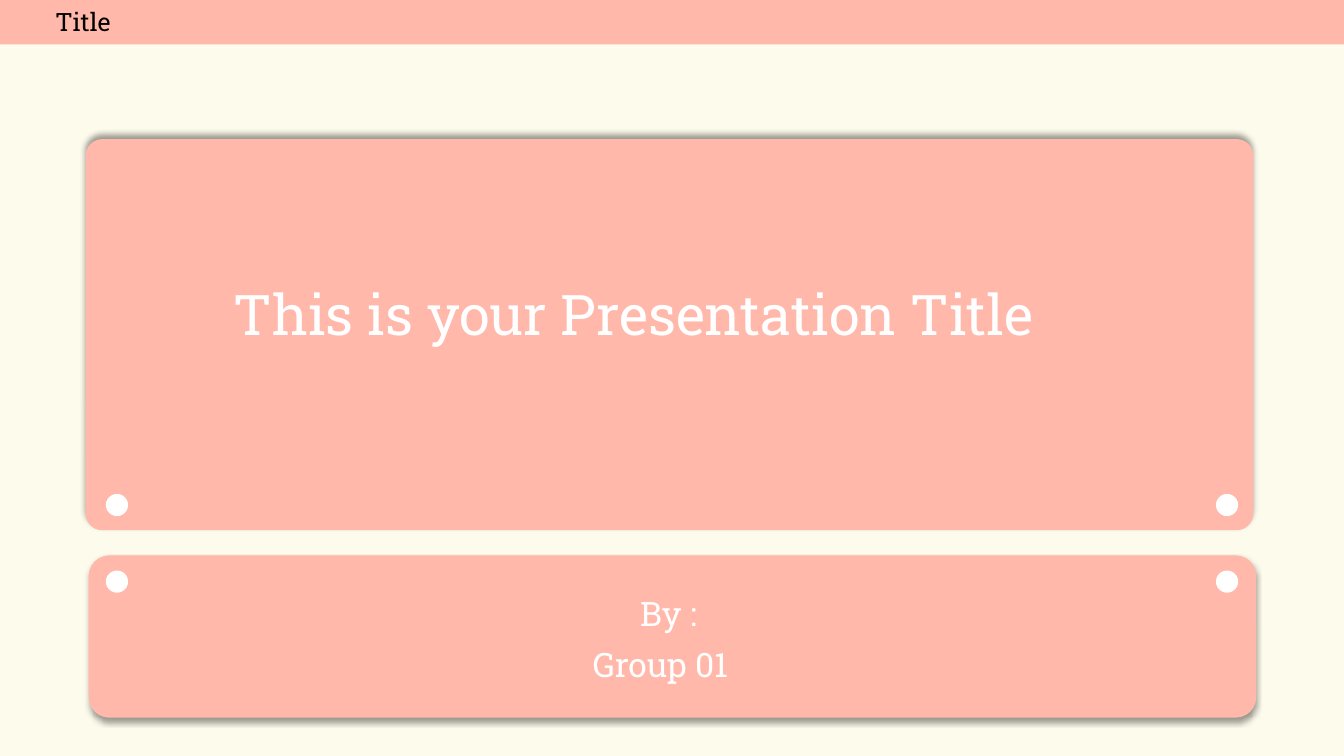
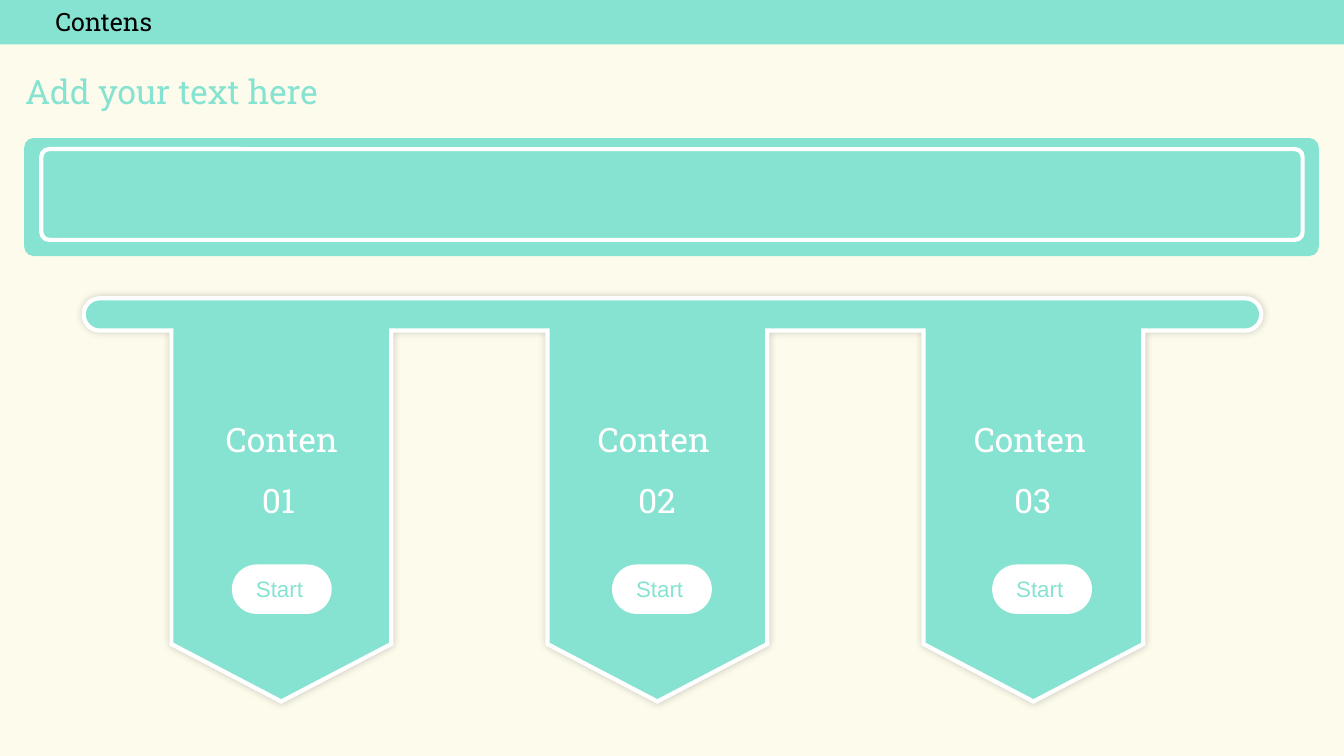
from math import cos, pi, sin

from lxml import etree
from pptx import Presentation
from pptx.dml.color import RGBColor
from pptx.enum.shapes import MSO_SHAPE
from pptx.enum.text import MSO_AUTO_SIZE
from pptx.oxml.ns import qn
from pptx.util import Inches, Pt

RECT = MSO_SHAPE.RECTANGLE
ROUNDED = MSO_SHAPE.ROUNDED_RECTANGLE
OVAL = MSO_SHAPE.OVAL
GROW = MSO_AUTO_SIZE.SHAPE_TO_FIT_TEXT

CREAM = "FDFBEC"
PEACH = "FFB8AA"
MINT = "87E3D1"
WHITE = "FFFFFF"
BLACK = "000000"
SERIF = "Roboto Slab"
SANS = "Arial"


def paint(shape, fill=None, line=None, shadow=None, corner=None):
    shape.shadow.inherit = False
    if fill:
        shape.fill.solid()
        shape.fill.fore_color.rgb = RGBColor.from_string(fill)
    else:
        shape.fill.background()
    if line:
        shape.line.color.rgb = RGBColor.from_string(line)
        shape.line.width = Pt(3)
        etree.SubElement(shape.line._get_or_add_ln(), qn("a:miter"), lim="800000")
    else:
        shape.line.fill.background()
    if corner is not None:
        shape.adjustments[0] = corner
    if shadow:
        opacity, blur, distance, angle = shadow
        effects = shape._element.spPr.find(qn("a:effectLst"))
        outer = etree.SubElement(
            effects, qn("a:outerShdw"), blurRad=str(Pt(blur)), dist=str(Pt(distance)),
            dir=str(angle * 60000), algn="ctr", rotWithShape="0")
        tint = etree.SubElement(outer, qn("a:srgbClr"), val=BLACK)
        etree.SubElement(tint, qn("a:alpha"), val=str(opacity * 1000))


def add_label(slide, text, left, top, width, height, size, color, font=SERIF):
    label = slide.shapes.add_textbox(Inches(left), Inches(top), Inches(width), Inches(height))
    frame = label.text_frame
    frame.word_wrap = False
    frame.auto_size = GROW
    run = frame.paragraphs[0].add_run()
    run.text = text
    run.font.size = Pt(size)
    run.font.name = font
    run.font.color.rgb = RGBColor.from_string(color)


deck = Presentation()
deck.slide_width = Inches(13.33)
deck.slide_height = Inches(7.5)

slides = []
for heading, theme, heading_width in (("Title", PEACH, 0.81), ("Contens", MINT, 1.25)):
    slide = deck.slides.add_slide(deck.slide_layouts[6])
    slide.background.fill.solid()
    slide.background.fill.fore_color.rgb = RGBColor.from_string(CREAM)
    band = slide.shapes.add_shape(RECT, 0, 0, deck.slide_width, Inches(0.44))
    paint(band, theme)
    add_label(slide, heading, 0.45, 0.01, heading_width, 0.4, 18, BLACK)
    slides.append(slide)
cover, contents = slides

for left, top, height, corner, angle in (
        (0.85, 1.38, 3.88, 0.042, 270), (0.88, 5.51, 1.61, 0.126, 90)):
    panel = cover.shapes.add_shape(
        ROUNDED, Inches(left), Inches(top), Inches(11.58), Inches(height))
    paint(panel, PEACH, shadow=(40, 4, 3, angle), corner=corner)

for top in (4.9, 5.66):
    for left in (1.05, 12.06):
        hole = cover.shapes.add_shape(
            OVAL, Inches(left), Inches(top), Inches(0.22), Inches(0.22))
        paint(hole, WHITE)

add_label(cover, "This is your Presentation Title", 2.22, 2.72, 8.85, 0.77, 40, WHITE)
add_label(cover, "By :", 6.25, 5.83, 0.84, 0.5, 24, WHITE)
add_label(cover, "Group 01", 5.78, 6.34, 1.78, 0.5, 24, WHITE)

add_label(contents, "Add your text here", 0.15, 0.65, 3.42, 0.5, 24, MINT)
text_panel = contents.shapes.add_shape(
    ROUNDED, Inches(0.24), Inches(1.37), Inches(12.84), Inches(1.17))
paint(text_panel, MINT, corner=0.08)
inner_frame = contents.shapes.add_shape(
    ROUNDED, Inches(0.41), Inches(1.48), Inches(12.51), Inches(0.9))
paint(inner_frame, line=WHITE, corner=0.086)

ROD_LEFT, ROD_RIGHT, ROD_MIDDLE, ROD_RADIUS = 0.99, 12.35, 3.12, 0.16
ROD_BOTTOM = ROD_MIDDLE + ROD_RADIUS
PENNANT_LEFT, PENNANT_WIDTH, PENNANT_STEP = 1.7, 2.18, 3.73
PENNANT_SIDE_END, PENNANT_TIP = 6.39, 6.96
ARC_STEPS = 16

outline = []
for step in range(ARC_STEPS + 1):
    angle = -pi / 2 + pi * step / ARC_STEPS
    outline.append((ROD_RIGHT + ROD_RADIUS * cos(angle), ROD_MIDDLE + ROD_RADIUS * sin(angle)))
for index in (2, 1, 0):
    left = PENNANT_LEFT + index * PENNANT_STEP
    right = left + PENNANT_WIDTH
    outline += [
        (right, ROD_BOTTOM), (right, PENNANT_SIDE_END),
        (left + PENNANT_WIDTH / 2, PENNANT_TIP),
        (left, PENNANT_SIDE_END), (left, ROD_BOTTOM)]
for step in range(ARC_STEPS + 1):
    angle = pi / 2 + pi * step / ARC_STEPS
    outline.append((ROD_LEFT + ROD_RADIUS * cos(angle), ROD_MIDDLE + ROD_RADIUS * sin(angle)))

points = [(Inches(x), Inches(y)) for x, y in outline]
builder = contents.shapes.build_freeform(*points[0])
builder.add_line_segments(points[1:], close=True)
paint(builder.convert_to_shape(), MINT, WHITE, shadow=(20, 6, 0, 315))

for index, caption_left in enumerate((2.14, 5.83, 9.56)):
    add_label(contents, "Conten", caption_left, 4.11, 1.43, 0.5, 24, WHITE)
    add_label(contents, f"0{index + 1}", 2.5 + index * PENNANT_STEP, 4.71, 0.6, 0.5, 24, WHITE)
    button_left = 2.3 + index * 3.77
    button = contents.shapes.add_shape(
        ROUNDED, Inches(button_left), Inches(5.6), Inches(0.99), Inches(0.49))
    paint(button, WHITE, corner=0.5)
    add_label(contents, "Start", button_left + 0.14, 5.66, 0.71, 0.37, 16, MINT, SANS)

deck.save("out.pptx")
